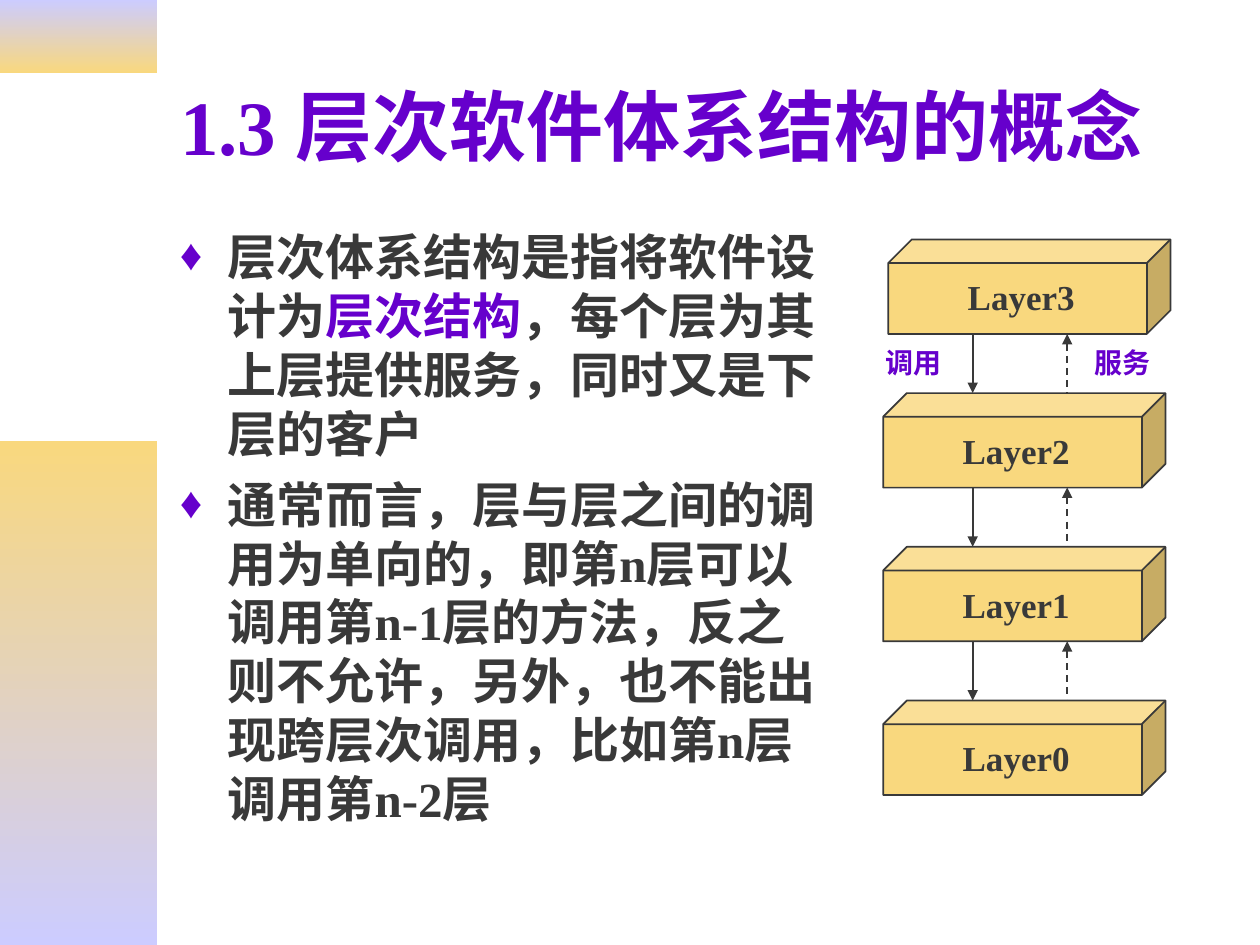
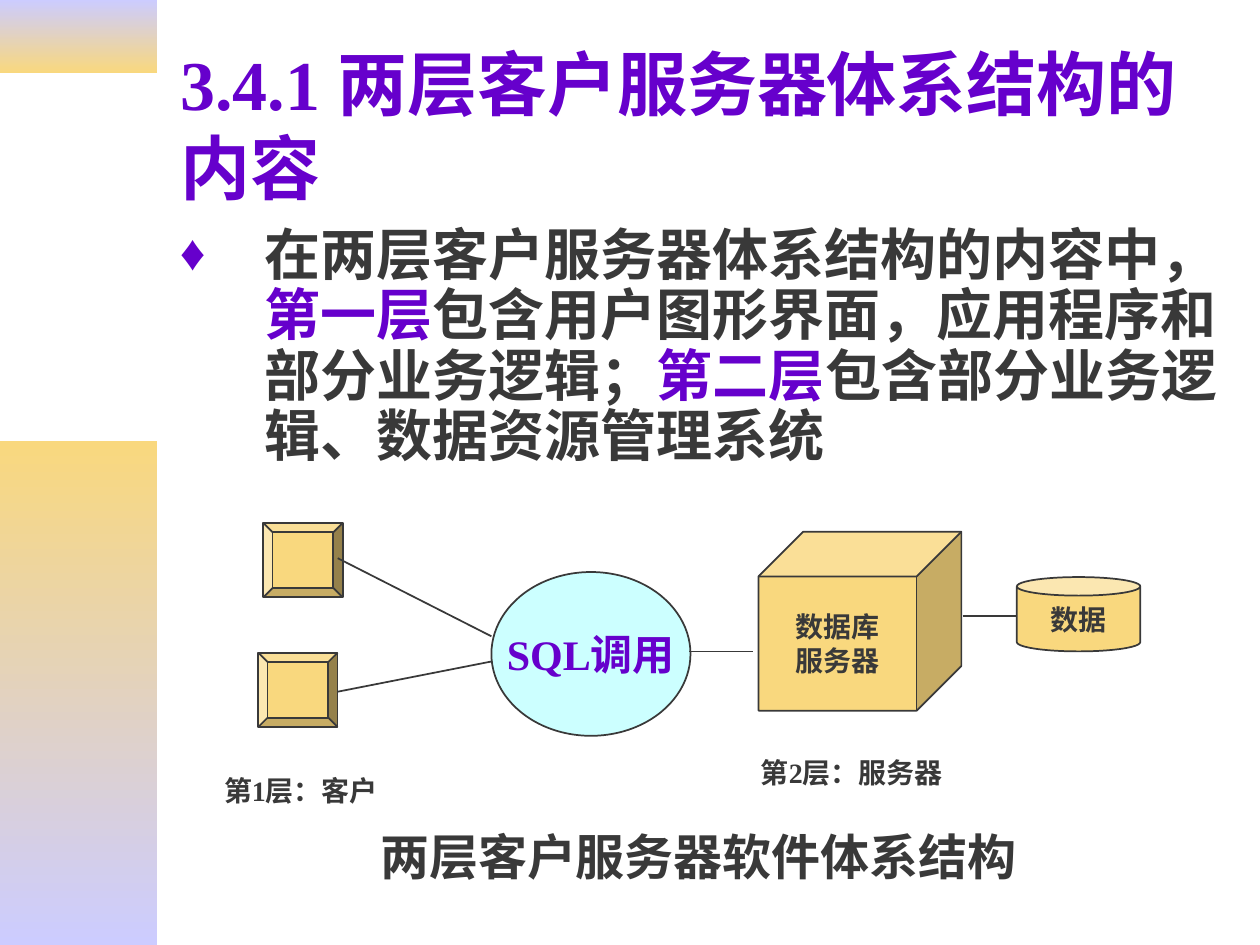
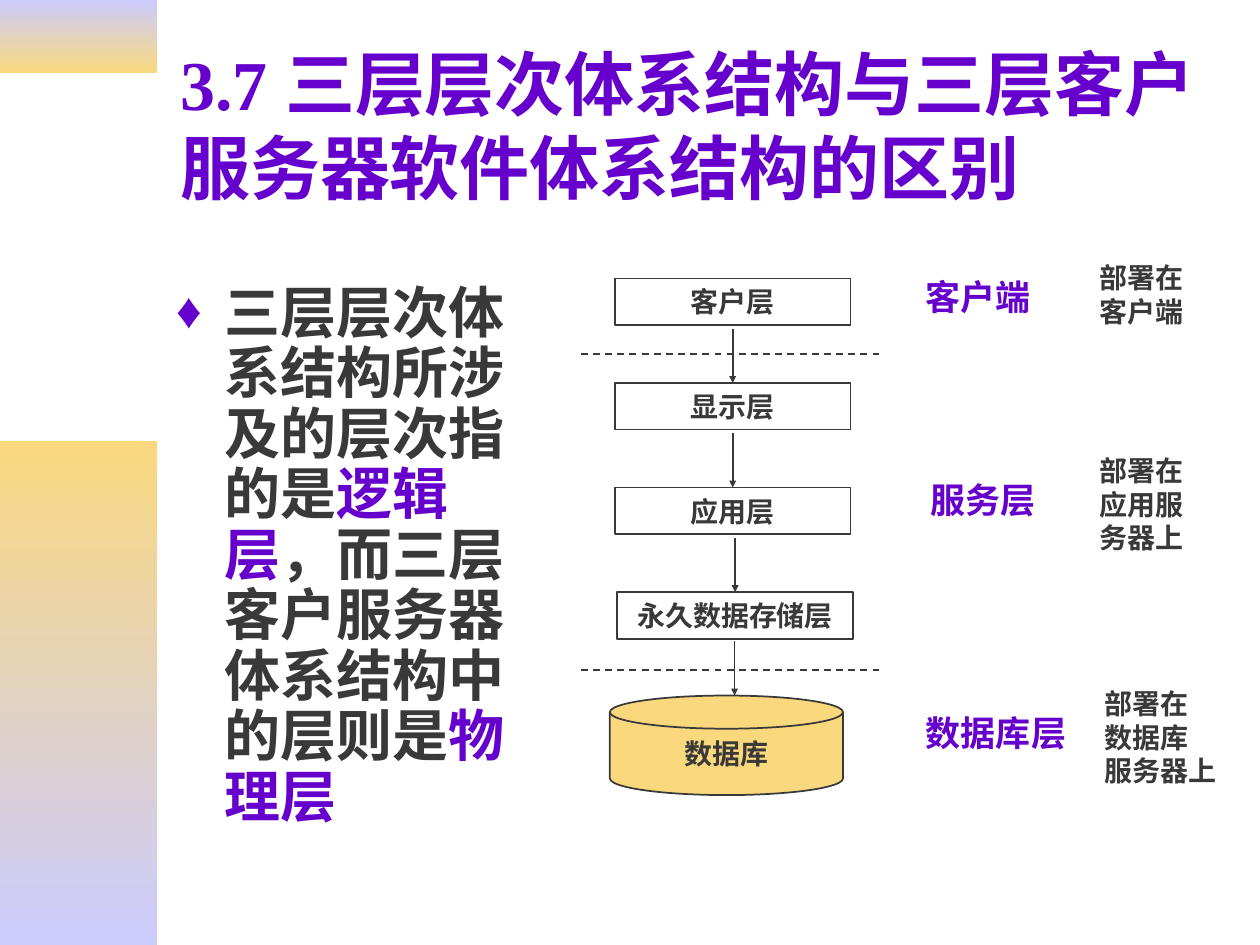
import pptx
import pptx.dml.color
import pptx.enum.dml
import pptx.enum.shapes
import pptx.enum.text
import pptx.oxml
import pptx.oxml.ns
import pptx.util

Inches = pptx.util.Inches
Pt = pptx.util.Pt
SHAPE = pptx.enum.shapes.MSO_SHAPE
ALIGN = pptx.enum.text.PP_ALIGN
ANCHOR = pptx.enum.text.MSO_ANCHOR
FIT = pptx.enum.text.MSO_AUTO_SIZE
qn = pptx.oxml.ns.qn

FONT = "Times New Roman"
INK, VIOLET, GOLD, LILAC, AQUA = "393939", "6600CC", "F9D87E", "CCCCFF", "CCFFFF"


def color(hex_value):
    return pptx.dml.color.RGBColor.from_string(hex_value)


def write(box, paragraphs, size, hue=INK, bullet_indent=0, align=ALIGN.LEFT,
          spacing=None, **frame_format):
    """Fill a box with bold paragraphs; text between asterisks turns violet."""
    frame = box.text_frame
    for name, value in frame_format.items():
        setattr(frame, name, value)
    for index, text in enumerate(paragraphs):
        para = frame.add_paragraph() if index else frame.paragraphs[0]
        if bullet_indent:
            properties = para._p.get_or_add_pPr()
            indent = Inches(bullet_indent)
            for key, value in {"marL": indent, "indent": -indent, "hangingPunct": 0}.items():
                properties.set(key, str(value))
            color_element = properties.makeelement(qn("a:buClr"), {})
            color_element.append(properties.makeelement(qn("a:srgbClr"), {"val": VIOLET}))
            properties.append(color_element)
            for tag, key, value in (("a:buSzPct", "val", "90000"),
                                    ("a:buFont", "typeface", FONT),
                                    ("a:buChar", "char", "♦")):
                properties.append(properties.makeelement(qn(tag), {key: value}))
            if index:
                para.space_before = Pt(size / 4)
        para.alignment = align
        if spacing:
            para.line_spacing = spacing
        for part, words in enumerate(text.split("*")):
            if words:
                span = para.add_run()
                span.text = words
                for name, value in {"name": FONT, "size": Pt(size), "bold": True}.items():
                    setattr(span.font, name, value)
                span.font.color.rgb = color(VIOLET if part % 2 else hue)


deck = pptx.Presentation()
deck.slide_width, deck.slide_height = Inches(10), Inches(7.5)

# Bands, title and bulleted text of every slide
contents = [
    ("1.3 层次软件体系结构的概念", 44, (1.33, 1.75, 5.28, 4.92), 28, 0.38, None, [
        "层次体系结构是指将软件设计为*层次结构*，每个层为其上层提供服务，同时又是下层的客户",
        "通常而言，层与层之间的调用为单向的，即第n层可以调用第n-1层的方法，反之则不允许，"
        "另外，也不能出现跨层次调用，比如第n层调用第n-2层"]),
    ("3.4.1 两层客户服务器体系结构的内容", 40, (1.33, 1.75, 8.5, 2.2), 32, 0.67, 0.9, [
        "在两层客户服务器体系结构的内容中，*第一层*包含用户图形界面，应用程序和部分业务逻辑；"
        "*第二层*包含部分业务逻辑、数据资源管理系统"]),
    ("3.7 三层层次体系结构与三层客户服务器软件体系结构的区别", 40,
     (1.3, 2.21, 2.96, 4.57), 32, 0.38, 0.9, [
         "三层层次体系结构所涉及的层次指的是*逻辑层*，而三层客户服务器体系结构中的层则是*物理层*"]),
]
bands = [(0, 0.58, LILAC, GOLD), (3.5, 4, GOLD, LILAC)]
pages = []
for title, title_size, place, size, indent, spacing, paragraphs in contents:
    page = deck.slides.add_slide(deck.slide_layouts[5])
    pages.append(page)
    for top, height, *ends in bands:
        band = page.shapes.add_shape(SHAPE.RECTANGLE, 0, Inches(top), Inches(1.25), Inches(height))
        band.shadow.inherit = False
        band.line.fill.background()
        band.fill.gradient()
        band.fill.gradient_angle = 270
        for stop, end in zip(band.fill.gradient_stops, ends):
            stop.color.rgb = color(end)
    heading = page.shapes.title
    title_place = {"left": 1.33, "top": 0.33, "width": 8.5, "height": 1.32}
    for name, value in title_place.items():
        setattr(heading, name, Inches(value))
    write(heading, [title], title_size, VIOLET, vertical_anchor=ANCHOR.MIDDLE,
          word_wrap=True, auto_size=FIT.NONE)
    body = page.shapes.add_textbox(*map(Inches, place))
    write(body, paragraphs, size, bullet_indent=indent, spacing=spacing,
          word_wrap=True, auto_size=FIT.NONE)
layers_page, two_tier_page, three_tier_page = pages

# Figures: page, shape, place, fill, lines of text, size, colour
figures = []
# Labels: page, place, lines of text, size, colour, alignment
labels = []
# Lines: page, start, end, dashed, arrowhead, index of the figure joined at the end
lines = []

# Stack of layers with calls going down and services going up
for row in range(4):
    top = 1.9 + 1.22 * row
    left = 7.01 if row else 7.05
    figures.append((layers_page, SHAPE.CUBE, (left, top, 2.24, 0.75), GOLD, [], 20, INK))
    labels.append((layers_page, (left + 0.15, top + 0.24, 1.81, 0.44),
                   [f"Layer{3 - row}"], 20, INK, ALIGN.CENTER))
    if row:
        for x, dashed, arrowhead in ((7.72, False, "a:tailEnd"), (8.47, True, "a:headEnd")):
            lines.append((layers_page, (x, top - 0.47), (x, top), dashed, arrowhead, None))
for left, word in ((6.93, "调用"), (8.59, "服务")):
    labels.append((layers_page, (left, 2.69, 0.66, 0.37), [word], 16, VIOLET, ALIGN.LEFT))

# Clients, call, server and data
figures += [
    (two_tier_page, SHAPE.BEVEL, (2.09, 4.15, 0.63, 0.59), GOLD, [], 16, INK),
    (two_tier_page, SHAPE.BEVEL, (2.05, 5.18, 0.63, 0.59), GOLD, [], 16, INK),
    (two_tier_page, SHAPE.OVAL, (3.9, 4.54, 1.58, 1.3), AQUA, ["SQL调用"], 24, VIOLET),
    (two_tier_page, SHAPE.CUBE, (6.02, 4.22, 1.61, 1.42), GOLD, ["数据库", "服务器"], 16, INK),
    (two_tier_page, SHAPE.CAN, (8.07, 4.58, 0.98, 0.59), GOLD, ["数据"], 16, INK),
]
for start, end in (((2.68, 4.43), (3.9, 5.05)), ((2.68, 5.49), (3.9, 5.25)),
                   ((5.47, 5.17), (5.98, 5.17)), ((7.64, 4.89), (8.07, 4.89))):
    lines.append((two_tier_page, start, end, False, None, None))
for place, text, size in (((1.68, 6.09, 1.57, 0.37), "第1层：客户", 16),
                          ((5.94, 5.95, 1.79, 0.37), "第2层：服务器", 16),
                          ((2.92, 6.51, 5.3, 0.57), "两层客户服务器软件体系结构", 28)):
    labels.append((two_tier_page, place, [text], size, INK, ALIGN.LEFT))

# Logical layers down to the database, with the physical tiers beside them
for row, (left, word) in enumerate(((4.88, "客户层"), (4.88, "显示层"),
                                    (4.88, "应用层"), (4.9, "永久数据存储层"))):
    top = 2.21 + 0.83 * row
    if row:
        middle = left + 1.87 / 2
        lines.append((three_tier_page, (middle, top - 0.43), (middle, top),
                      False, "a:tailEnd", len(figures)))
    figures.append((three_tier_page, SHAPE.RECTANGLE, (left, top, 1.87, 0.37),
                    None, [word], 16, INK))
figures.append((three_tier_page, SHAPE.FLOWCHART_MAGNETIC_DISK, (4.84, 5.52, 1.85, 0.79),
                GOLD, ["数据库"], 16, INK))
lines.append((three_tier_page, (5.83, 5.09), (5.83, 5.52), False, "a:tailEnd", None))
for y in (2.81, 5.32):
    lines.append((three_tier_page, (4.61, y), (7.01, y), True, None, None))
for place, tier in (((7.25, 2.14, 1.07, 0.44), "客户端"),
                    ((7.29, 3.75, 1.07, 0.44), "服务层"),
                    ((7.25, 5.6, 1.35, 0.44), "数据库层")):
    labels.append((three_tier_page, place, [tier], 20, VIOLET, ALIGN.LEFT))
for place, words in (((8.63, 2.02, 0.9, 0.64), ["部署在", "客户端"]),
                     ((8.63, 3.55, 0.9, 0.9), ["部署在", "应用服", "务器上"]),
                     ((8.67, 5.4, 1.12, 0.9), ["部署在", "数据库", "服务器上"])):
    labels.append((three_tier_page, place, words, 16, INK, ALIGN.LEFT))

# Drawing of figures, labels and lines
shapes = []
for page, kind, place, fill, words, size, hue in figures:
    shape = page.shapes.add_shape(kind, *map(Inches, place))
    shapes.append(shape)
    shape.shadow.inherit = False
    shape.line.color.rgb = color(INK)
    shape.line.width = Pt(1)
    if fill:
        shape.fill.solid()
        shape.fill.fore_color.rgb = color(fill)
    else:
        shape.fill.background()
    write(shape, words, size, hue, align=ALIGN.CENTER,
          vertical_anchor=ANCHOR.MIDDLE, word_wrap=False)

for page, place, words, size, hue, align in labels:
    label = page.shapes.add_textbox(*map(Inches, place))
    write(label, words, size, hue, align=align, word_wrap=align == ALIGN.CENTER,
          auto_size=FIT.NONE)

for page, start, end, dashed, arrowhead, target in lines:
    line = page.shapes.add_connector(pptx.enum.shapes.MSO_CONNECTOR.STRAIGHT,
                                     *map(Inches, start + end))
    line.line.color.rgb = color(INK)
    line.line.width = Pt(1)
    if dashed:
        line.line.dash_style = pptx.enum.dml.MSO_LINE.DASH
    properties = line._element.spPr
    if arrowhead:
        head_size = "sm" if page is three_tier_page else "med"
        outline = properties.find(qn("a:ln"))
        outline.append(outline.makeelement(
            qn(arrowhead), {"type": "triangle", "w": head_size, "len": head_size}))
    properties.append(properties.makeelement(qn("a:effectLst"), {}))
    if target is not None:
        line.end_connect(shapes[target], 0)

deck.save("out.pptx")
